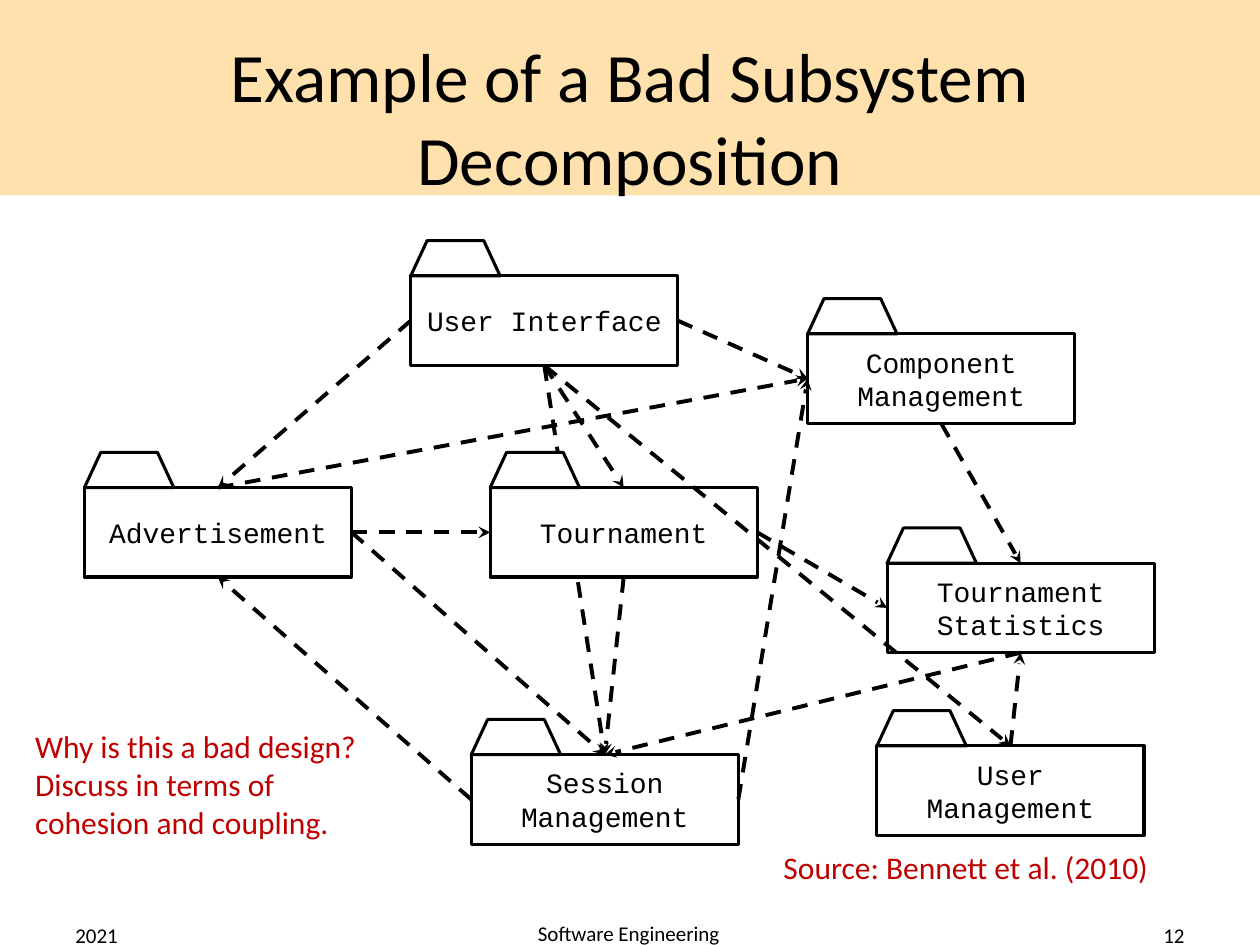
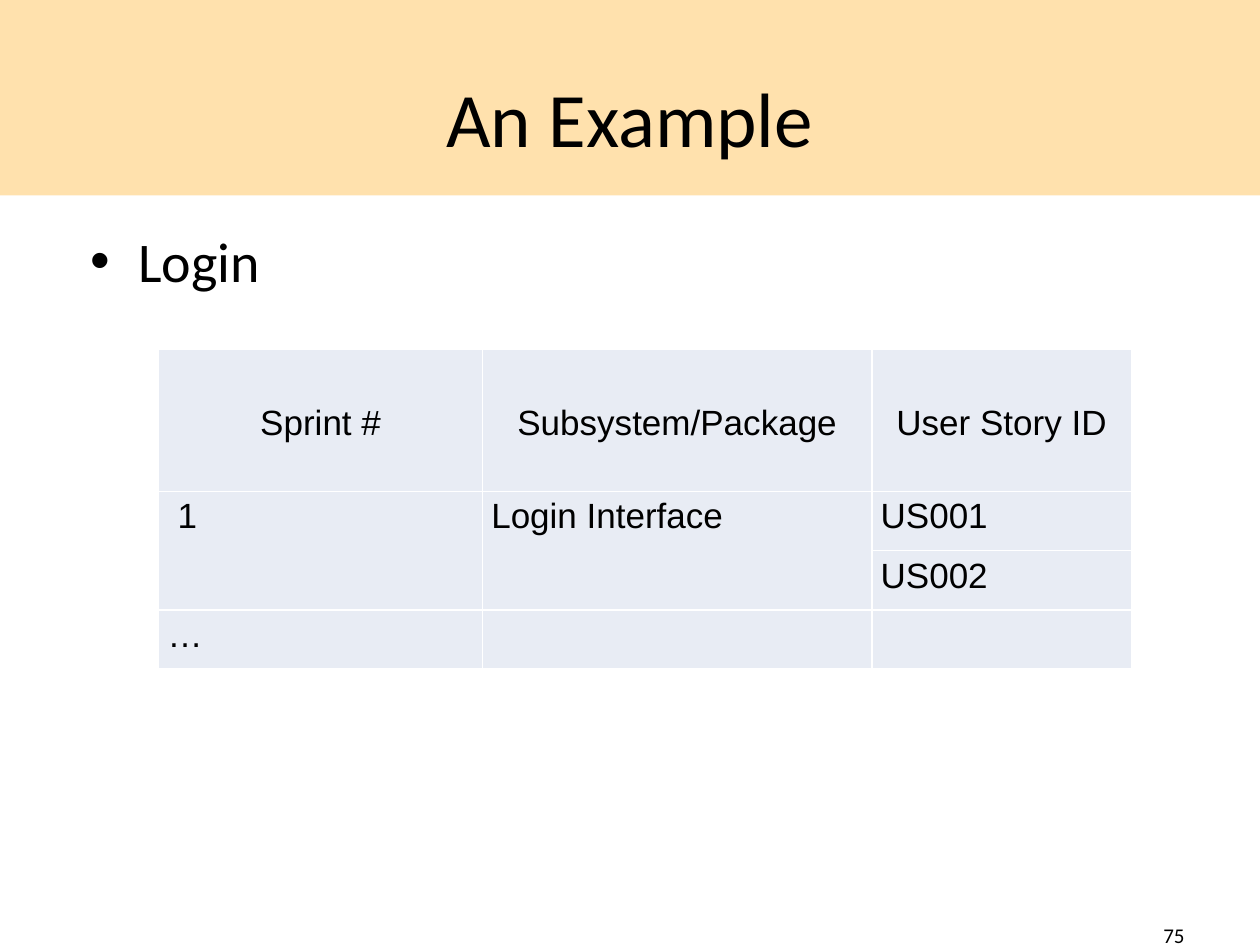
from dataclasses import dataclass

from lxml.etree import SubElement
from pptx import Presentation
from pptx.dml.color import RGBColor as Color
from pptx.enum.dml import MSO_LINE as Dash
from pptx.enum.shapes import MSO_CONNECTOR as Connector, MSO_SHAPE as Preset
from pptx.enum.text import MSO_ANCHOR as Anchor, PP_ALIGN as Align
from pptx.oxml.ns import qn
from pptx.util import Inches, Pt


@dataclass(frozen=True)
class Theme:
    """Colours, fonts and type sizes shared by the slides."""

    black: Color = Color.from_string("000000")
    white: Color = Color.from_string("FFFFFF")
    band: Color = Color.from_string("FFE1AD")
    note: Color = Color.from_string("C00000")
    cell: Color = Color.from_string("E8ECF4")
    text_font: str = "Calibri"
    package_font: str = "Courier New"
    table_font: str = "Arial"
    title_size: float = 44
    long_title_size: float = 39.6
    body_size: float = 32
    table_size: float = 20
    note_size: float = 18
    package_size: float = 16
    footer_size: float = 12
    outline: float = 1.75
    dependency: float = 2.25


THEME = Theme()
PACKAGE_WIDTH, PACKAGE_HEIGHT = 2.12, 0.71
TAB_OUTLINE = [(0.13, -0.28), (0.58, -0.28), (0.71, 0)]
TOP, LEFT, BOTTOM, RIGHT = range(4)

PACKAGES = {
    "Advertisement": (0.67, 3.87),
    "User Interface": (3.26, 2.19),
    "Session Management": (3.74, 5.99),
    "User Management": (6.96, 5.92),
    "Tournament Statistics": (7.04, 4.47),
    "Component Management": (6.41, 2.65),
}
FRONT_PACKAGE = {"Tournament": (3.89, 3.87)}
BACK_DEPENDENCIES = [("User Interface", BOTTOM, "Session Management", TOP)]
DEPENDENCIES = [
    ("User Interface", RIGHT, "Component Management", LEFT),
    ("User Interface", BOTTOM, "Tournament", TOP),
    ("User Interface", BOTTOM, "User Management", TOP),
    ("User Interface", LEFT, "Advertisement", TOP),
    ("Tournament", RIGHT, "Tournament Statistics", LEFT),
    ("Tournament", BOTTOM, "Session Management", TOP),
    ("Advertisement", RIGHT, "Tournament", LEFT),
    ("Advertisement", RIGHT, "Session Management", TOP),
    ("Advertisement", TOP, "Component Management", LEFT),
    ("Component Management", BOTTOM, "Tournament Statistics", TOP),
    ("User Management", TOP, "Tournament Statistics", BOTTOM),
    ("Tournament Statistics", BOTTOM, "Session Management", TOP),
    ("Session Management", RIGHT, "Component Management", LEFT),
    ("Session Management", LEFT, "Advertisement", BOTTOM),
]

COLUMN_WIDTHS = [2.57, 3.09, 2.06]
ROW_HEIGHTS = [1.13, 0.47, 0.47, 0.47]
STORY_ROWS = [
    ["Sprint #", "Subsystem/Package", "User Story ID"],
    ["1", "Login Interface", "US001"],
    ["", "", "US002"],
    ["…", "", ""],
]


def style_paragraph(paragraph, size, font=THEME.text_font, color=THEME.black, align=Align.LEFT):
    """Set the font and alignment of a paragraph."""
    paragraph.alignment = align
    paragraph.font.size = Pt(size)
    paragraph.font.name = font
    paragraph.font.color.rgb = color


def add_text(slide, box, lines, size, color=THEME.black, align=Align.LEFT, anchor=Anchor.TOP):
    """Add a wrapping text box with one paragraph per line and return its frame."""
    frame = slide.shapes.add_textbox(*map(Inches, box)).text_frame
    frame.word_wrap = True
    frame.vertical_anchor = anchor
    frame.text = "\n".join(lines)
    for paragraph in frame.paragraphs:
        style_paragraph(paragraph, size, color=color, align=align)
    return frame


def add_footer(slide, box, text, align):
    """Add one footer field."""
    add_text(slide, box, [text], THEME.footer_size, align=align, anchor=Anchor.MIDDLE)


def add_titled_slide(presentation, title, title_size, number):
    """Add a slide with the title band, title and slide number."""
    slide = presentation.slides.add_slide(presentation.slide_layouts[6])
    band = slide.shapes.add_shape(Preset.RECTANGLE, 0, 0, Inches(10), Inches(1.55))
    band.shadow.inherit = False
    band.fill.solid()
    band.fill.fore_color.rgb = THEME.band
    band.line.fill.background()
    add_text(slide, (0.5, 0.3, 9, 1.25), [title], title_size, align=Align.CENTER, anchor=Anchor.MIDDLE)
    add_footer(slide, (7.17, 7.22, 2.33, 0.4), number, Align.RIGHT)
    return slide


def style_outline(shape, filled):
    """Give a package part its outline and optional white fill."""
    shape.shadow.inherit = False
    shape.line.color.rgb = THEME.black
    shape.line.width = Pt(THEME.outline)
    if filled:
        shape.fill.solid()
        shape.fill.fore_color.rgb = THEME.white
    else:
        shape.fill.background()


def add_package(slide, name, left, top, filled=False):
    """Add a package with its tab and return the body shape."""
    body = slide.shapes.add_shape(
        Preset.RECTANGLE, *map(Inches, (left, top, PACKAGE_WIDTH, PACKAGE_HEIGHT))
    )
    frame = body.text_frame
    frame.word_wrap = True
    frame.vertical_anchor = Anchor.MIDDLE
    frame.text = name
    style_paragraph(frame.paragraphs[0], THEME.package_size, THEME.package_font, align=Align.CENTER)
    builder = slide.shapes.build_freeform(Inches(left), Inches(top))
    builder.add_line_segments([(Inches(left + x), Inches(top + y)) for x, y in TAB_OUTLINE])
    for part in (body, builder.convert_to_shape()):
        style_outline(part, filled)
    return body


def add_dependency(slide, source, source_site, target, target_site):
    """Add a dashed arrow glued to a side of each of two packages."""
    arrow = slide.shapes.add_connector(Connector.STRAIGHT, 0, 0, 0, 0)
    arrow.begin_connect(source, source_site)
    arrow.end_connect(target, target_site)
    arrow.line.color.rgb = THEME.black
    arrow.line.width = Pt(THEME.dependency)
    arrow.line.dash_style = Dash.DASH
    properties = arrow._element.spPr
    SubElement(properties.find(qn("a:ln")), qn("a:tailEnd"), type="stealth")
    SubElement(properties, qn("a:effectLst"))


def add_dependencies(slide, bodies, dependencies):
    """Add an arrow for each listed dependency between named packages."""
    for source, source_site, target, target_site in dependencies:
        add_dependency(slide, bodies[source], source_site, bodies[target], target_site)


def add_bullet(slide, box, text):
    """Add a text box with one bulleted paragraph."""
    paragraph = add_text(slide, box, [text], THEME.body_size).paragraphs[0]
    properties = paragraph._p.get_or_add_pPr()
    properties.set("marL", str(Inches(0.38)))
    properties.set("indent", str(-Inches(0.38)))
    bullet_font = properties.makeelement(qn("a:buFont"), {"typeface": THEME.table_font})
    bullet = properties.makeelement(qn("a:buChar"), {"char": "•"})
    properties.insert(0, bullet_font)
    properties.insert(1, bullet)


def style_cell(cell, is_header):
    """Set the borders, fill, margins and text style of a table cell."""
    properties = cell._tc.get_or_add_tcPr()
    for side in ("lnL", "lnR", "lnT", "lnB"):
        border = SubElement(properties, qn(f"a:{side}"), w=str(Pt(1)))
        fill = SubElement(border, qn("a:solidFill"))
        SubElement(fill, qn("a:srgbClr"), val=str(THEME.white))
    cell.fill.solid()
    cell.fill.fore_color.rgb = THEME.cell
    cell.margin_left = cell.margin_right = Inches(0.07)
    cell.margin_top = cell.margin_bottom = 0
    cell.vertical_anchor = Anchor.MIDDLE if is_header else Anchor.TOP
    paragraph = cell.text_frame.paragraphs[0]
    paragraph.line_spacing = 1.15
    align = Align.CENTER if is_header else Align.LEFT
    style_paragraph(paragraph, THEME.table_size, THEME.table_font, align=align)


def add_story_table(slide, left, top):
    """Add the table of sprints, subsystems and user stories."""
    size = map(Inches, (left, top, sum(COLUMN_WIDTHS), sum(ROW_HEIGHTS)))
    table = slide.shapes.add_table(len(STORY_ROWS), len(COLUMN_WIDTHS), *size).table
    table.first_row = table.horz_banding = False
    for column, width in zip(table.columns, COLUMN_WIDTHS):
        column.width = Inches(width)
    for index, (row, height, texts) in enumerate(zip(table.rows, ROW_HEIGHTS, STORY_ROWS)):
        row.height = Inches(height)
        for cell, text in zip(row.cells, texts):
            cell.text = text
            style_cell(cell, is_header=index == 0)
    for column in (0, 1):
        table.cell(1, column).merge(table.cell(2, column))
    table.cell(1, 0).margin_left = Inches(0.15)


def add_decomposition_slide(presentation):
    """Add the slide with the tangled package diagram."""
    slide = add_titled_slide(
        presentation, "Example of a Bad Subsystem Decomposition", THEME.long_title_size, "12"
    )
    add_footer(slide, (0.5, 7.22, 2.33, 0.4), "2021", Align.LEFT)
    add_footer(slide, (2.7, 7.24, 4.58, 0.33), "Software Engineering", Align.CENTER)
    bodies = {name: add_package(slide, name, *place) for name, place in PACKAGES.items()}
    add_dependencies(slide, bodies, BACK_DEPENDENCIES)
    for name, place in FRONT_PACKAGE.items():
        bodies[name] = add_package(slide, name, *place, filled=True)
    add_dependencies(slide, bodies, DEPENDENCIES)
    question = ["Why is this a bad design?", "Discuss in terms of cohesion and coupling."]
    add_text(slide, (0.18, 5.72, 2.99, 1.01), question, THEME.note_size, THEME.note)
    source = ["Source: Bennett et al. (2010)"]
    add_text(slide, (6.12, 6.68, 3.8, 0.4), source, THEME.note_size, THEME.note)


def add_example_slide(presentation):
    """Add the slide with the login example."""
    slide = add_titled_slide(presentation, "An Example", THEME.title_size, "75")
    add_bullet(slide, (0.62, 1.75, 8.88, 0.9), "Login")
    add_story_table(slide, 1.26, 2.77)


def main():
    """Build and save the presentation."""
    presentation = Presentation()
    presentation.slide_width, presentation.slide_height = Inches(10), Inches(7.5)
    add_decomposition_slide(presentation)
    add_example_slide(presentation)
    presentation.save("out.pptx")


if __name__ == "__main__":
    main()
